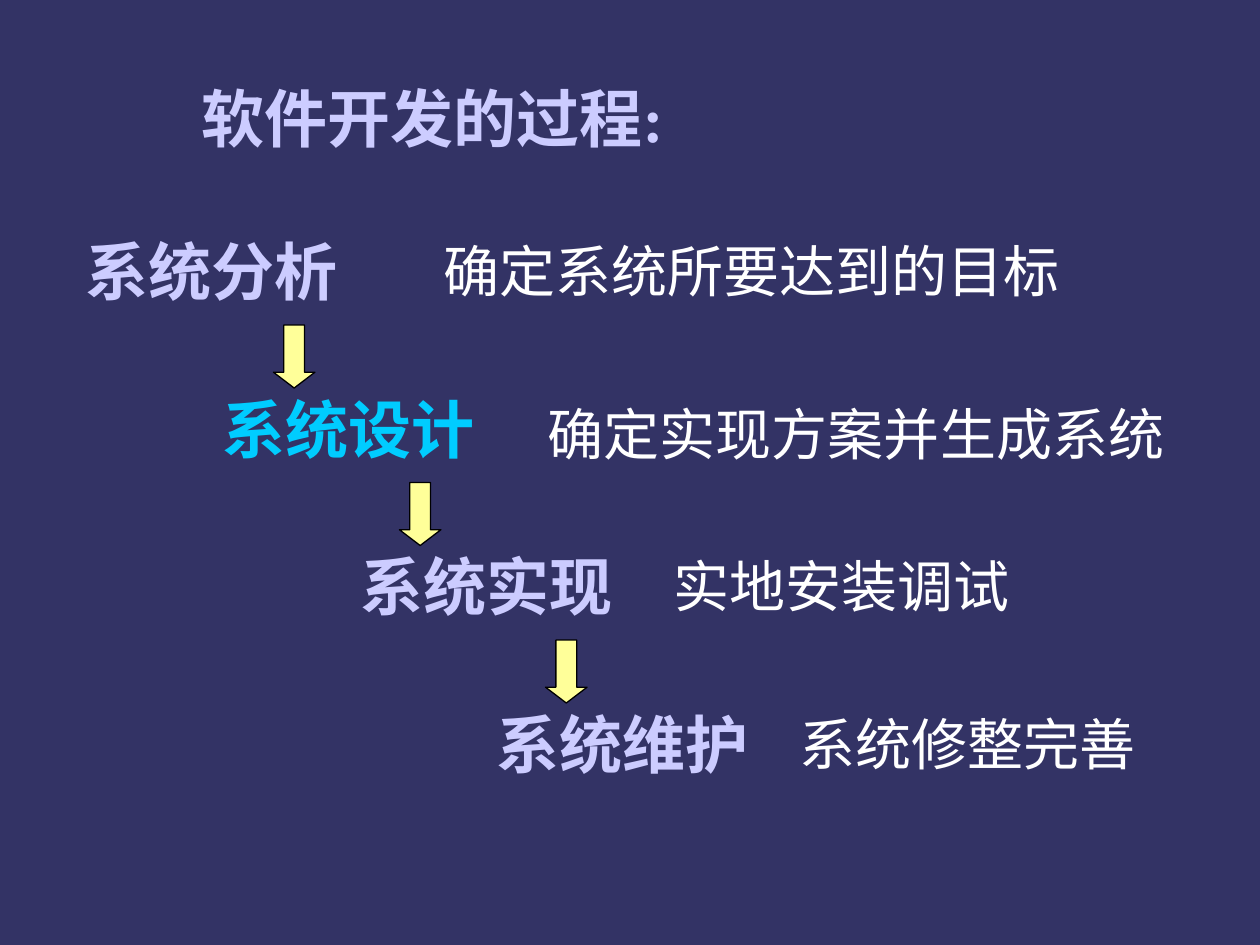
import pptx
import pptx.util
import pptx.dml.color
import pptx.enum.shapes
import pptx.enum.text

Inches = pptx.util.Inches
Pt = pptx.util.Pt

HUES = {
    "back": "333365",
    "head": "CCCCFF",
    "mark": "00CCFF",
    "note": "FFFFFF",
    "arrow": "FFFF99",
    "edge": "000000",
}

STEPS = [
    ("系统分析", "head", 0.58, 1.8, "确定系统所要达到的目标", 3.42, 1.83, 5.17),
    ("系统设计", "mark", 1.67, 3.05, "确定实现方案并生成系统", 4.25, 3.12, 5.17),
    ("系统实现", "head", 2.76, 4.3, "实地安装调试", 5.25, 4.33, 3),
    ("系统维护", "head", 3.84, 5.55, "系统修整完善", 6.25, 5.58, 3),
]
ARROWS = [2.17, 3.17, 4.33]


class Deck:
    """Holds the style and the current slide."""

    def __init__(self):
        self.show = pptx.Presentation()
        self.show.slide_width = Inches(10)
        self.show.slide_height = Inches(7.5)
        self.font = "Times New Roman"
        self.slide = self.show.slides.add_slide(self.show.slide_layouts[5])
        self.paint(self.slide.background.fill, "back")

    def hue(self, name):
        return pptx.dml.color.RGBColor.from_string(HUES[name])

    def paint(self, fill, name):
        fill.solid()
        fill.fore_color.rgb = self.hue(name)

    def label(self, shape, text, size, hue, bold):
        frame = shape.text_frame
        frame.word_wrap = True
        frame.auto_size = pptx.enum.text.MSO_AUTO_SIZE.SHAPE_TO_FIT_TEXT
        frame.vertical_anchor = pptx.enum.text.MSO_ANCHOR.TOP
        para = frame.paragraphs[0]
        para.alignment = pptx.enum.text.PP_ALIGN.LEFT
        run = para.add_run()
        run.text = text
        run.font.name = self.font
        run.font.size = Pt(size)
        run.font.bold = bold
        run.font.color.rgb = self.hue(hue)

    def title(self, text, left, top, width, height):
        shape = self.slide.shapes.title
        shape.left, shape.top = Inches(left), Inches(top)
        shape.width, shape.height = Inches(width), Inches(height)
        self.label(shape, text, 36, "head", True)

    def text(self, text, left, top, width, height, size, hue, bold=False):
        box = self.slide.shapes.add_textbox(
            Inches(left), Inches(top), Inches(width), Inches(height))
        self.label(box, text, size, hue, bold)

    def arrow(self, left, top):
        shape = self.slide.shapes.add_shape(
            pptx.enum.shapes.MSO_SHAPE.DOWN_ARROW,
            Inches(left), Inches(top), Inches(0.33), Inches(0.5))
        shape.adjustments[0] = 0.5
        shape.adjustments[1] = 0.38
        shape.shadow.inherit = False
        self.paint(shape.fill, "arrow")
        shape.line.color.rgb = self.hue("edge")
        shape.line.width = Pt(0.75)


def main():
    deck = Deck()
    deck.title("软件开发的过程:", 1.5, 0.58, 7.08, 0.7)
    for name, hue, left, top, note, start, level, width in STEPS:
        deck.text(name, left, top, 2.25, 0.7, 36, hue, True)
        deck.text(note, start, level, width, 0.64, 32, "note")
    for step, left in enumerate(ARROWS):
        deck.arrow(left, 2.58 + 1.25 * step)
    deck.show.save("out.pptx")


if __name__ == "__main__":
    main()
